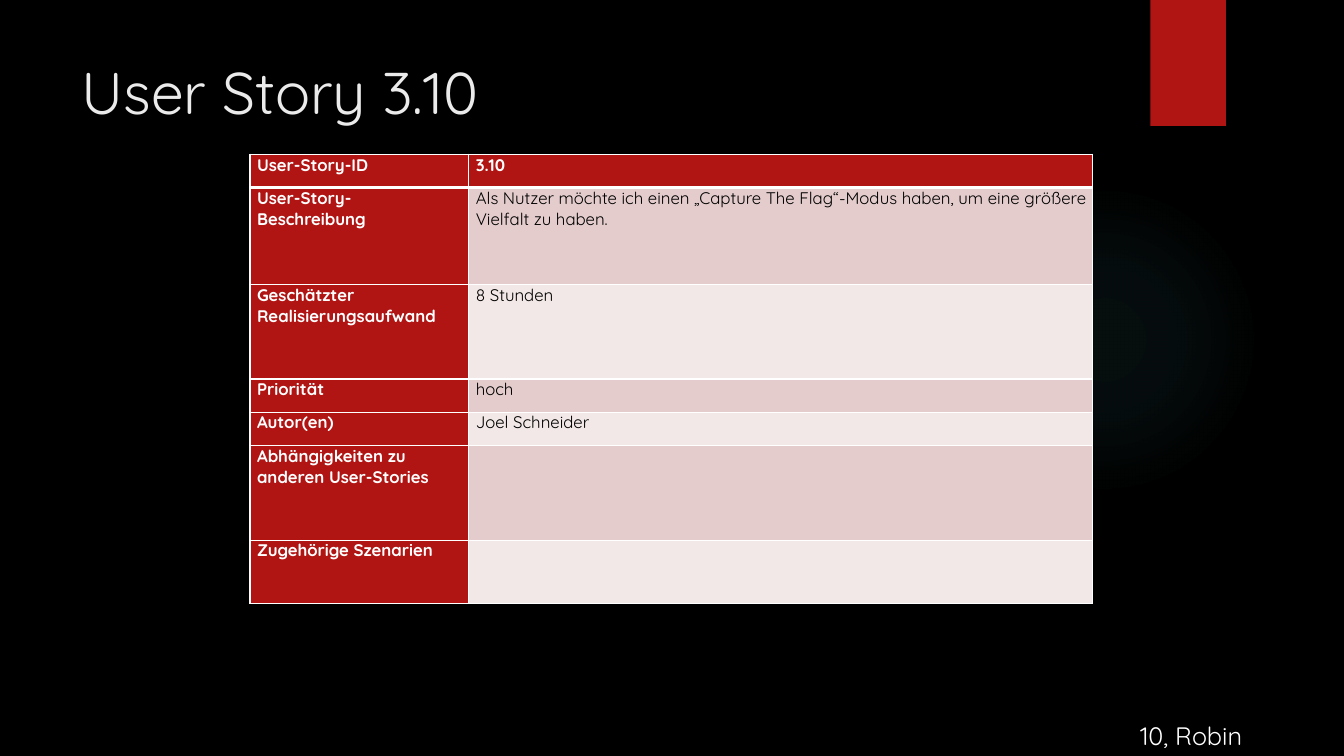
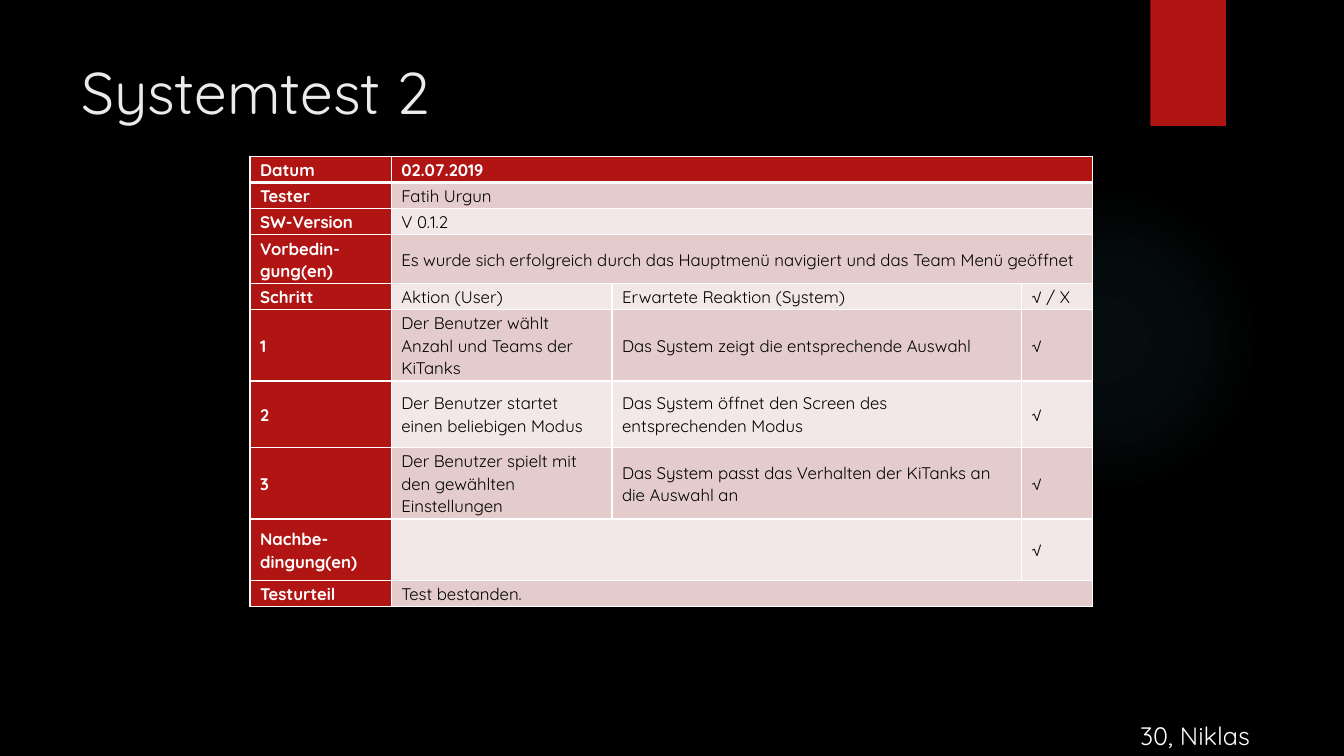
from lxml.etree import SubElement
from pptx import Presentation
from pptx.dml.color import RGBColor
from pptx.enum.shapes import MSO_SHAPE as Preset
from pptx.enum.text import MSO_ANCHOR as Anchor
from pptx.oxml import parse_xml
from pptx.oxml.ns import nsdecls, qn
from pptx.util import Emu, Pt

PX = 9144
FONT = "Quicksand"
BLACK, WHITE, TITLE = "000000", "FFFFFF", "EBEBEB"
RED, ROSE, PALE, GLOW = "B01513", "E4CCCC", "F2E8E7", "50B9C1"

TITLE_BOX = (71, 50, 1029, 153)
FOOTER_BOX = (1121, 710, 213, 40)
RIBBON_BOX = (1141, 0, 75, 125)
GLOW_BOX = (941, 183, 308, 308)
GLOW_STOPS = ((0, 7), (36, 6), (69, 0))
TABLE_LEFT = 248

STORY = {
    "top": 153,
    "columns": (217, 619),
    "heights": (33, 96, 94, 33, 33, 94, 63),
    "margins": (7, 0, 4, 0),
    "anchor": Anchor.TOP,
    "spacing": 1.0,
    "rows": (
        ("User-Story-ID", "3.10"),
        ("User-Story-\nBeschreibung",
         "Als Nutzer möchte ich einen „Capture The Flag“-Modus haben, "
         "um eine größere Vielfalt zu haben."),
        ("Geschätzter\nRealisierungsaufwand", "8 Stunden"),
        ("Priorität", "hoch"),
        ("Autor(en)", "Joel Schneider"),
        ("Abhängigkeiten zu anderen User-Stories", ""),
        ("Zugehörige Szenarien", ""),
    ),
}

SYSTEM_TEST = {
    "top": 155,
    "columns": (140, 219, 406, 71),
    "heights": (26, 26, 26, 48, 26, 71, 66, 71, 61, 26),
    "margins": (10, 2, 10, 2),
    "anchor": Anchor.MIDDLE,
    "spacing": 1.07,
    "rows": (
        ("Datum", "02.07.2019", None, None),
        ("Tester", "Fatih Urgun", None, None),
        ("SW-Version", "V 0.1.2", None, None),
        ("Vorbedin-gung(en)",
         "Es wurde sich erfolgreich durch das Hauptmenü navigiert "
         "und das Team Menü geöffnet", None, None),
        ("Schritt", "Aktion (User)", "Erwartete Reaktion (System)", "√ / X"),
        ("1", "Der Benutzer wählt Anzahl und Teams der KiTanks",
         "Das System zeigt die entsprechende Auswahl", "√"),
        ("2", "Der Benutzer startet einen beliebigen Modus",
         "Das System öffnet den Screen des entsprechenden Modus", "√"),
        ("3", "Der Benutzer spielt mit den gewählten Einstellungen",
         "Das System passt das Verhalten der KiTanks an die Auswahl an", "√"),
        ("Nachbe-dingung(en)", "", None, "√"),
        ("Testurteil", "Test bestanden.", None, None),
    ),
}


def px(length):
    return Emu(length * PX)


def place(box):
    return [px(length) for length in box]


def paint(fill, color):
    fill.solid()
    fill.fore_color.rgb = RGBColor.from_string(color)


def write(frame, text, size, color, bold=False, spacing=1.0):
    frame.text = text
    for paragraph in frame.paragraphs:
        paragraph.line_spacing = spacing
        if not paragraph.runs:
            SubElement(paragraph._p, qn("a:endParaRPr"), sz=str(size * 100))
        for run in paragraph.runs:
            run.font.name = FONT
            run.font.size = Pt(size)
            run.font.bold = bold
            run.font.color.rgb = RGBColor.from_string(color)


def add_text(slide, box, text, size, color):
    frame = slide.shapes.add_textbox(*place(box)).text_frame
    frame.word_wrap = True
    write(frame, text, size, color)


def add_plain(slide, preset, box, color):
    plain = slide.shapes.add_shape(preset, *place(box))
    plain.shadow.inherit = False
    plain.line.fill.background()
    paint(plain.fill, color)
    return plain


def add_glow(slide, box):
    glow = add_plain(slide, Preset.OVAL, box, GLOW)
    stops = "".join(
        f'<a:gs pos="{position * 1000}"><a:srgbClr val="{GLOW}">'
        f'<a:alpha val="{opacity * 1000}"/></a:srgbClr></a:gs>'
        for position, opacity in GLOW_STOPS)
    gradient = parse_xml(
        f'<a:gradFill {nsdecls("a")}><a:gsLst>{stops}</a:gsLst>'
        '<a:path path="circle"><a:fillToRect l="50000" t="50000" '
        'r="50000" b="50000"/></a:path></a:gradFill>')
    properties = glow._element.spPr
    properties.replace(properties.find(qn("a:solidFill")), gradient)


def add_borders(cell, row):
    widths = {"L": 1, "R": 1, "T": 3 if row == 1 else 1, "B": 3 if row == 0 else 1}
    properties = cell._tc.get_or_add_tcPr()
    for side, width in widths.items():
        border = SubElement(properties, qn(f"a:ln{side}"), w=str(Pt(width)))
        solid = SubElement(border, qn("a:solidFill"))
        SubElement(solid, qn("a:srgbClr"), val=WHITE)


def format_cell(cell, text, row, column, content):
    heading = row == 0 or column == 0
    left, top, right, bottom = place(content["margins"])
    cell.margin_left, cell.margin_top = left, top
    cell.margin_right, cell.margin_bottom = right, bottom
    cell.vertical_anchor = content["anchor"]
    add_borders(cell, row)
    paint(cell.fill, RED if heading else ROSE if row % 2 else PALE)
    write(cell.text_frame, text or "", 12, WHITE if heading else BLACK,
          heading, content["spacing"])


def add_grid(slide, content):
    columns, heights, rows = content["columns"], content["heights"], content["rows"]
    box = (TABLE_LEFT, content["top"], sum(columns), sum(heights))
    grid = slide.shapes.add_table(len(rows), len(columns), *place(box)).table
    for column, width in zip(grid.columns, columns):
        column.width = px(width)
    for line, height in zip(grid.rows, heights):
        line.height = px(height)
    for row, texts in enumerate(rows):
        for column, text in enumerate(texts):
            format_cell(grid.cell(row, column), text, row, column, content)
        if None in texts:
            first = texts.index(None) - 1
            last = first + texts.count(None)
            grid.cell(row, first).merge(grid.cell(row, last))


def add_table_slide(deck, title, content, footer):
    slide = deck.slides.add_slide(deck.slide_layouts[6])
    paint(slide.background.fill, BLACK)
    add_glow(slide, GLOW_BOX)
    add_plain(slide, Preset.RECTANGLE, RIBBON_BOX, RED)
    add_text(slide, TITLE_BOX, title, 42, TITLE)
    add_grid(slide, content)
    add_text(slide, FOOTER_BOX, footer, 18, WHITE)


def main():
    deck = Presentation()
    deck.slide_width, deck.slide_height = px(1333), px(750)
    add_table_slide(deck, "User Story 3.10", STORY, "10, Robin")
    add_table_slide(deck, "Systemtest 2", SYSTEM_TEST, "30, Niklas")
    deck.save("out.pptx")


if __name__ == "__main__":
    main()
